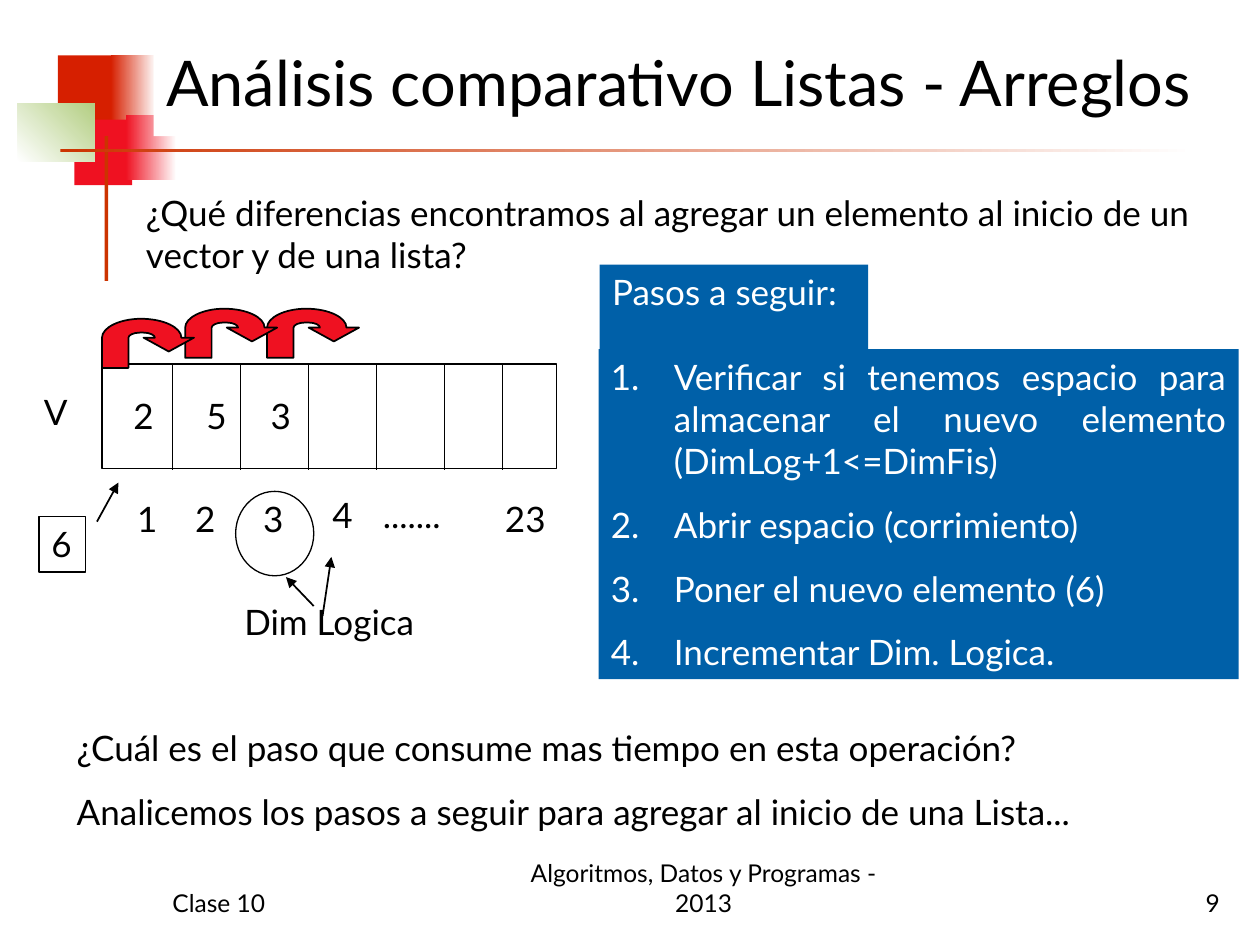
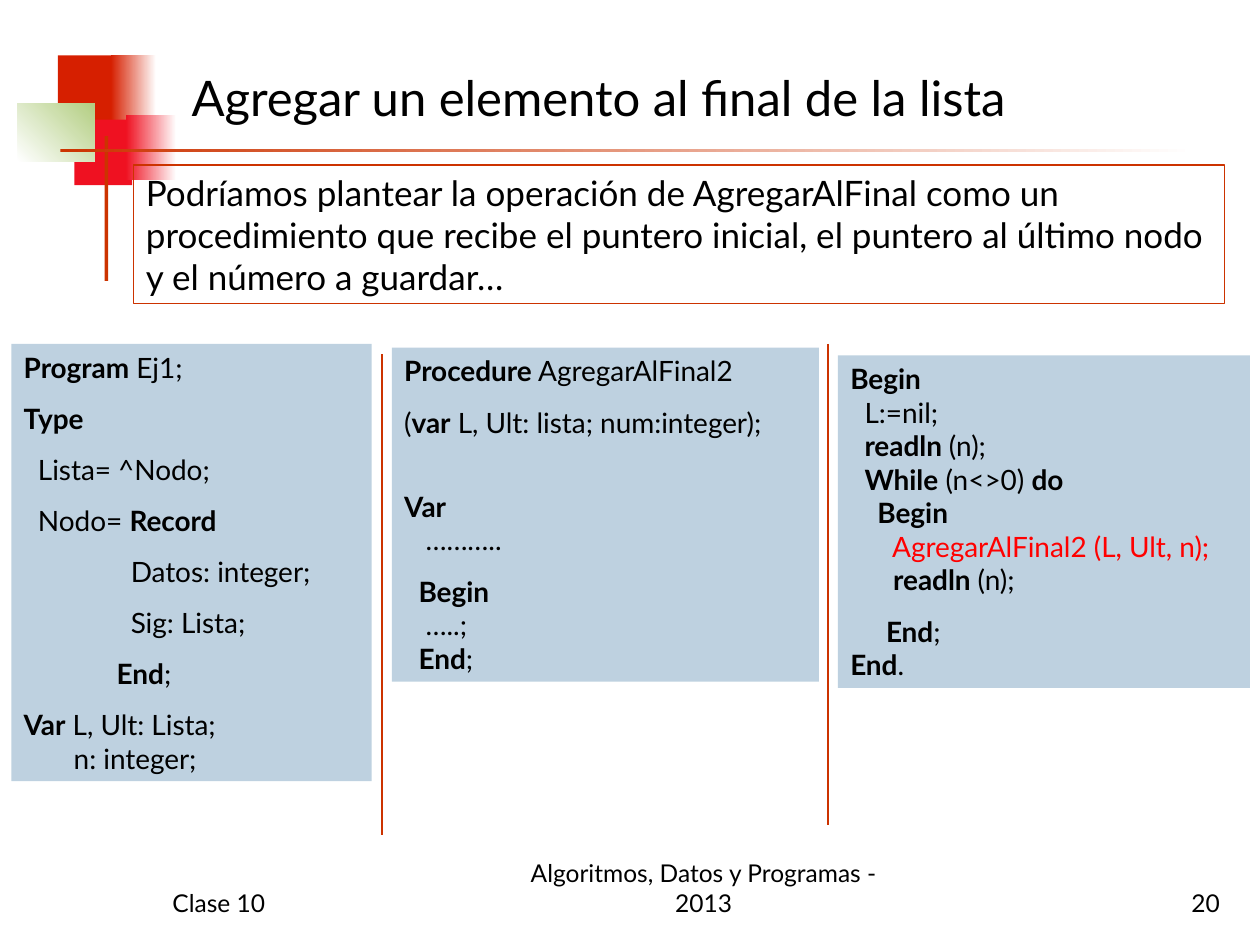
from dataclasses import dataclass
from typing import NamedTuple, Optional

from lxml.etree import SubElement
from pptx import Presentation
from pptx.dml.color import RGBColor
from pptx.enum.shapes import MSO_CONNECTOR, MSO_SHAPE as Shape
from pptx.enum.text import MSO_ANCHOR as Anchor, MSO_AUTO_SIZE, PP_ALIGN as Align
from pptx.oxml.ns import qn
from pptx.util import Inches, Pt

FONT = "Lato"
BLACK, WHITE = "000000", "FFFFFF"
RED, ORANGE, GREEN, RULE = "EF1121", "D61F00", "B3CE82", "CC3300"
STEP_BLUE, CODE_BLUE, CODE_RED = "0060A8", "BED1E0", "FF0000"


class Box(NamedTuple):
    x: float
    y: float
    w: float
    h: float

    def lengths(self) -> list:
        return [Inches(v) for v in self]


@dataclass
class Decor:
    box: Box
    color: str
    fade_to: Optional[str] = None
    angle: int = 0


@dataclass
class Look:
    size: float = 20
    color: str = BLACK
    align: Align = Align.LEFT
    anchor: Anchor = Anchor.TOP
    gap: float = 12.5


@dataclass
class Code:
    """Paragraphs where *...* is bold and a part that starts with ! is red."""
    box: Box
    paragraphs: list
    gaps: dict


BODY = Look()
DECOR = [
    Decor(Box(0.46, 0.44, 0.48, 0.52), ORANGE),
    Decor(Box(0.88, 0.44, 0.36, 0.52), ORANGE, WHITE),
    Decor(Box(0.59, 0.95, 0.46, 0.52), RED),
    Decor(Box(1, 0.91, 0.4, 0.52), RED, WHITE),
    Decor(Box(0.14, 0.82, 0.61, 0.46), WHITE, GREEN, 45),
    Decor(Box(0.83, 1.08, 0.03, 1.15), RULE),
    Decor(Box(0.48, 1.18, 9, 0.03), RULE, WHITE),
]
# Steps of the curved arrow: one point is a line, three points are a curve.
ARROW_START = (0.53, 0.26)
ARROW_STEPS = [
    [(0.73, 0.15)], [(0.63, 0.15)],
    [(0.63, 0.07), (0.49, 0), (0.31, 0)],
    [(0.14, 0), (0, 0.07), (0, 0.15)],
    [(0, 0.39)], [(0.21, 0.39)], [(0.21, 0.15)],
    [(0.21, 0.13), (0.25, 0.11), (0.3, 0.11)],
    [(0.33, 0.11)],
    [(0.38, 0.11), (0.42, 0.13), (0.42, 0.15)],
    [(0.33, 0.15)],
]


def rgb(color: str) -> RGBColor:
    return RGBColor.from_string(color)


def style_font(font, size: float, color: str, bold: bool = False) -> None:
    font.name, font.size, font.bold = FONT, Pt(size), bold
    font.color.rgb = rgb(color)


def paint(s, fill: Optional[str] = None, line: Optional[str] = None, width: float = 1) -> None:
    s.shadow.inherit = False
    if fill:
        s.fill.solid()
        s.fill.fore_color.rgb = rgb(fill)
    else:
        s.fill.background()
    if line:
        s.line.color.rgb = rgb(line)
        s.line.width = Pt(width)
    else:
        s.line.fill.background()


def add_block(slide, box: Box, fill: Optional[str] = None, line: Optional[str] = None,
              width: float = 1, kind: Shape = Shape.RECTANGLE):
    s = slide.shapes.add_shape(kind, *box.lengths())
    paint(s, fill, line, width)
    return s


def write(s, lines: list, look: Look = BODY) -> None:
    tf = s.text_frame
    tf.word_wrap = True
    tf.auto_size = MSO_AUTO_SIZE.NONE
    tf.vertical_anchor = look.anchor
    tf.text = "\n".join(lines)
    for i, p in enumerate(tf.paragraphs):
        p.alignment = look.align
        p.space_before = Pt(look.gap if i else 0)
        for r in p.runs:
            style_font(r.font, look.size, look.color)


def add_text(slide, box: Box, *lines: str, look: Look = BODY) -> None:
    write(slide.shapes.add_textbox(*box.lengths()), list(lines), look)


def add_line(slide, start: tuple, end: tuple, color: str = BLACK,
             width: float = 1, arrow: bool = False) -> None:
    s = slide.shapes.add_connector(
        MSO_CONNECTOR.STRAIGHT, *[Inches(v) for v in (*start, *end)])
    s.line.color.rgb = rgb(color)
    s.line.width = Pt(width)
    props = s.element.spPr
    if arrow:
        SubElement(props.find(qn("a:ln")), qn("a:tailEnd")).set("type", "triangle")
    SubElement(props, qn("a:effectLst"))


def number_paragraphs(s) -> None:
    for p in s.text_frame.paragraphs:
        props = p._p.get_or_add_pPr()
        props.set("marL", str(Inches(0.5)))
        props.set("indent", str(-Inches(0.5)))
        SubElement(props, qn("a:buFont")).set("typeface", "+mj-lt")
        SubElement(props, qn("a:buAutoNum")).set("type", "arabicPeriod")


def add_shift_arrow(slide, left: float, top: float) -> None:
    """Curved arrow that moves a vector element one cell to the right."""
    def place(point: tuple) -> tuple:
        return Inches(left + point[0]), Inches(top + point[1])

    builder = slide.shapes.build_freeform(*place(ARROW_START))
    builder.add_line_segments([place(pt) for step in ARROW_STEPS for pt in step], close=True)
    s = builder.convert_to_shape()
    paint(s, RED, BLACK)
    segments = iter(list(s.element.iter(qn("a:lnTo"))))
    for step in ARROW_STEPS:
        first, *others = [next(segments) for _ in step]
        if others:
            first.tag = qn("a:cubicBezTo")
        for segment in others:
            first.append(segment[0])
            segment.getparent().remove(segment)


def add_code(slide, code: Code) -> None:
    s = add_block(slide, code.box, CODE_BLUE)
    tf = s.text_frame
    tf.word_wrap = True
    tf.vertical_anchor = Anchor.TOP
    for i, source in enumerate(code.paragraphs):
        p = tf.add_paragraph() if i else tf.paragraphs[0]
        p.alignment = Align.LEFT
        p.space_before = Pt(code.gaps.get(i, 10) if i else 0)
        for n, line in enumerate(source.split("\n")):
            if n:
                p.add_line_break()
            for k, part in enumerate(line.split("*")):
                if part:
                    r = p.add_run()
                    r.text = part.lstrip("!")
                    color = CODE_RED if part.startswith("!") else BLACK
                    style_font(r.font, 16, color, bold=k % 2 == 1)


def add_base_slide(prs, title: str, box: Box, size: float, number: int,
                   fill: Optional[str] = None):
    """Slide with title, corner decoration and footers."""
    slide = prs.slides.add_slide(prs.slide_layouts[5])
    for d in DECOR:
        block = add_block(slide, d.box, d.color)
        if d.fade_to:
            block.fill.gradient()
            block.fill.gradient_angle = d.angle
            for stop, color in zip(block.fill.gradient_stops, (d.color, d.fade_to)):
                stop.color.rgb = rgb(color)
    footers = [(1.27, 2.08, "Clase 10", Align.LEFT),
               (4, 3.17, "Algoritmos, Datos y Programas - 2013", Align.CENTER),
               (7.7, 2.08, str(number), Align.RIGHT)]
    for x, w, text, align in footers:
        add_text(slide, Box(x, 6.83, w, 0.5), text,
                 look=Look(14, align=align, anchor=Anchor.BOTTOM))
    s = slide.shapes.title
    s.left, s.top, s.width, s.height = box.lengths()
    write(s, [title], Look(size, anchor=Anchor.MIDDLE))
    if fill:
        s.fill.solid()
        s.fill.fore_color.rgb = rgb(fill)
    s.element.getparent().append(s.element)  # the title lies over the decoration
    return slide


def draw_vector(slide) -> None:
    add_block(slide, Box(0.81, 2.89, 3.61, 0.83), WHITE, BLACK, 0.75)
    for x in (*[1.37 + 0.54 * i for i in range(5)], 3.99):
        add_line(slide, (x, 2.9), (x, 3.73), width=0.75)
    labels = [("V", 0.25, 3.05, 0.56), ("2", 0.96, 3.08, 0.29), ("5", 1.54, 3.08, 0.29),
              ("3", 2.05, 3.08, 0.29), ("1", 0.99, 3.9, 0.31), ("2", 1.45, 3.9, 0.31),
              ("3", 1.99, 3.9, 0.38), ("4", 2.54, 3.87, 0.39), (".......", 2.94, 3.87, 0.92),
              ("23", 3.91, 3.9, 0.54), ("Dim Logica", 1.84, 4.72, 1.65)]
    for text, x, y, w in labels:
        add_text(slide, Box(x, y, w, 0.44), text)
    add_block(slide, Box(1.87, 3.9, 0.62, 0.67), None, BLACK, 0.75, Shape.OVAL)
    write(add_block(slide, Box(0.31, 4.1, 0.37, 0.44), None, BLACK), ["6"])
    for left, top in ((2.12, 2.45), (1.47, 2.45), (0.81, 2.53)):
        add_shift_arrow(slide, left, top)
    for start, end in (((2.49, 4.81), (2.27, 4.58)), ((2.56, 4.89), (2.63, 4.42)),
                       ((0.77, 4.14), (0.94, 3.83))):
        add_line(slide, start, end, arrow=True)


def build_comparison(prs) -> None:
    slide = add_base_slide(prs, "Análisis comparativo Listas - Arreglos",
                           Box(1.22, 0.21, 8.58, 0.87), 36, 9, WHITE)
    add_text(slide, Box(1.06, 1.47, 8.51, 0.77),
             "¿Qué diferencias encontramos al agregar un elemento al inicio de un "
             "vector y de una lista?")
    steps = add_block(slide, Box(4.75, 2.77, 5.08, 2.62), STEP_BLUE)
    write(steps, ["Verificar si tenemos espacio para almacenar el nuevo elemento "
                  "(DimLog+1<=DimFis)",
                  "Abrir espacio (corrimiento)",
                  "Poner el nuevo elemento (6)",
                  "Incrementar Dim. Logica."], Look(color=WHITE, align=Align.JUSTIFY))
    number_paragraphs(steps)
    draw_vector(slide)
    heading = add_block(slide, Box(4.76, 2.1, 2.13, 0.77), STEP_BLUE)
    write(heading, ["Pasos a seguir:"], Look(color=WHITE))
    add_text(slide, Box(0.51, 5.72, 9.29, 0.94),
             "¿Cuál es el paso que consume mas tiempo en esta operación?",
             "Analicemos los pasos a seguir para agregar al inicio de una Lista...")


def build_append(prs) -> None:
    slide = add_base_slide(prs, "Agregar un elemento al final de la lista",
                           Box(1.42, 0.21, 8.28, 1.12), 28, 20)
    declarations = Code(Box(0.09, 2.73, 2.86, 3.47), [
        "*Program* Ej1;",
        "*Type*",
        "  Lista= ^Nodo;",
        "  Nodo= *Record*",
        "               Datos: integer;",
        "               Sig: Lista;",
        "             *End*;",
        "*Var* L, Ult: Lista; \n       n: integer;"], {})
    procedure = Code(Box(3.11, 2.76, 3.39, 2.65), [
        "*Procedure* AgregarAlFinal2",
        "(*var* L, Ult: lista; num:integer);",
        "*Var *\n   ………..",
        "  *Begin*\n   …..;\n  *End*;"], {2: 29})
    main_program = Code(Box(6.65, 2.82, 3.27, 2.64), [
        "*Begin*\n  L:=nil;\n  *readln *(n);\n  *While* (n<>0) *do*\n*    Begin *\n"
        "!      AgregarAlFinal2 (L, Ult, n);\n      *readln *(n);",
        "     *End*;\n*End*."], {})
    for code in (declarations, procedure, main_program):
        add_code(slide, code)
    for x, y in ((3.03, 2.81), (6.57, 2.73)):
        add_line(slide, (x, y), (x, y + 3.82), RULE)
    write(add_block(slide, Box(1.06, 1.31, 8.66, 1.1), None, RULE),
          ["Podríamos plantear la operación de AgregarAlFinal como un procedimiento que "
           "recibe el puntero inicial, el puntero al último nodo y el número a guardar…"])


def main() -> None:
    prs = Presentation()
    prs.slide_width, prs.slide_height = Inches(10), Inches(7.5)
    build_comparison(prs)
    build_append(prs)
    prs.save("out.pptx")


if __name__ == "__main__":
    main()
